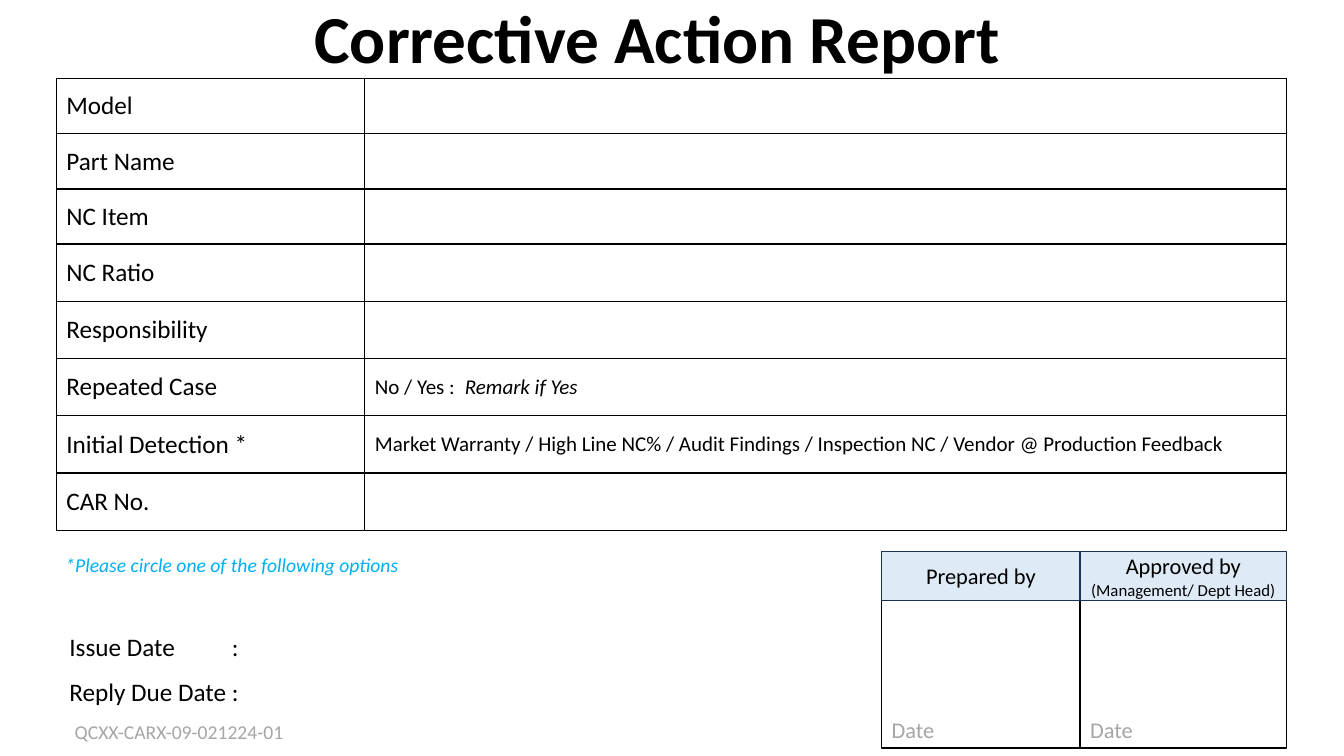
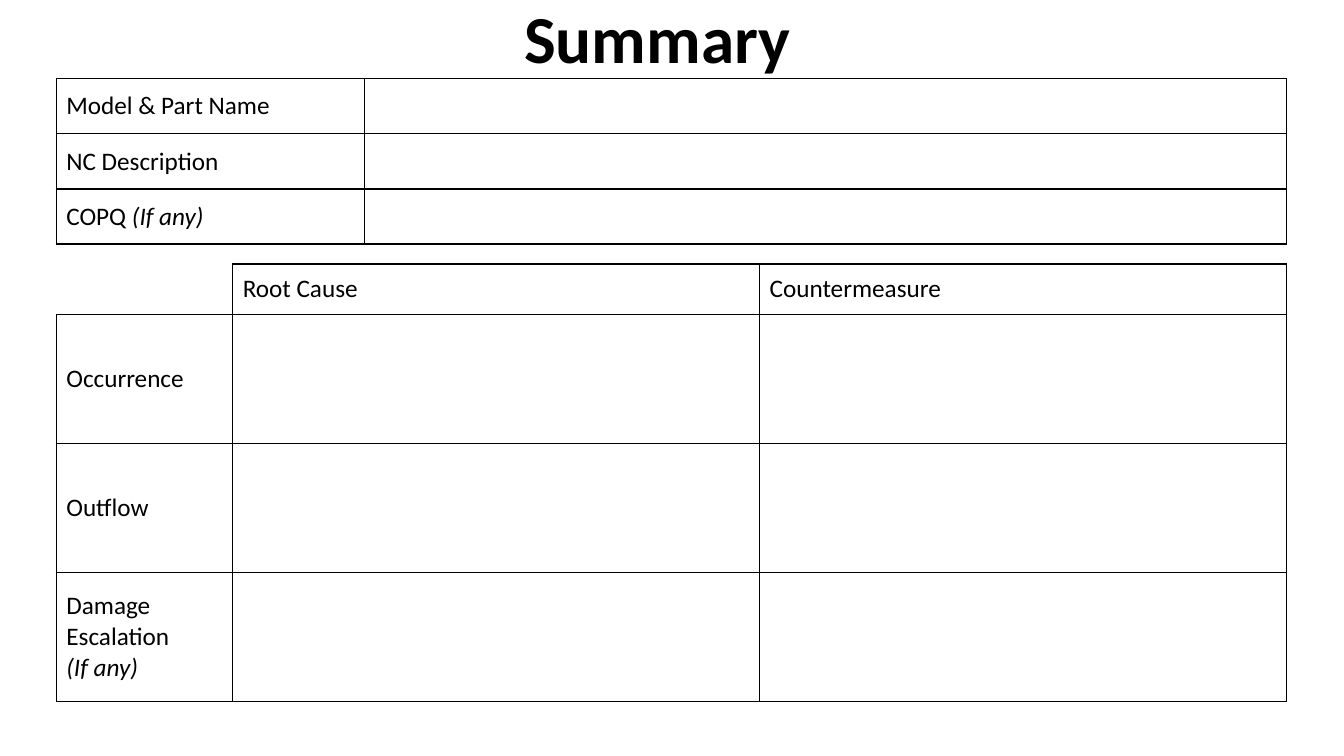
"""Build the corrective action report form and its summary slide."""

from dataclasses import dataclass

from pptx import Presentation
from pptx.dml.color import RGBColor
from pptx.enum.shapes import MSO_SHAPE
from pptx.enum.text import MSO_ANCHOR, MSO_AUTO_SIZE, PP_ALIGN
from pptx.oxml.ns import qn
from pptx.slide import Slide
from pptx.table import _Cell
from pptx.text.text import TextFrame
from pptx.util import Pt
from lxml.etree import SubElement

BLACK = RGBColor(0x00, 0x00, 0x00)
WHITE = RGBColor(0xFF, 0xFF, 0xFF)
GREY = RGBColor(0xA6, 0xA6, 0xA6)
CYAN = RGBColor(0x00, 0xB0, 0xF0)
PALE = RGBColor(0xDE, 0xEB, 0xF7)
NAVY = RGBColor(0x1E, 0x32, 0x56)
FONT = "Calibri"

LEFT = 40.2
TOP = 56.2
FORM = (220.4, 658.4)
SHORT = 39.4
TALL = 40.9
SIDES = ("L", "R", "T", "B")


@dataclass(frozen=True)
class Text:
    """Lines of text with their size and tab stop; underscores mark italics."""

    lines: tuple[str, ...] = ()
    size: float = 18
    tab: float = 0


@dataclass(frozen=True)
class Grid:
    """A ruled table: position, column widths, row heights and texts."""

    left: float
    top: float
    cols: tuple[float, ...]
    rows: tuple[float, ...]
    cells: tuple[tuple[Text, ...], ...]


@dataclass(frozen=True)
class Sign:
    """One column of the signature block."""

    left: float
    width: float
    head: str
    note: str = ""


NONE = Text()
REPORT = Grid(LEFT, TOP, FORM, (SHORT,) * 3 + (TALL,) * 5, (
    (Text(("Model",)), NONE),
    (Text(("Part Name",)), NONE),
    (Text(("NC Item",)), NONE),
    (Text(("NC Ratio",)), NONE),
    (Text(("Responsibility",)), NONE),
    (Text(("Repeated Case",)),
     Text(("No / Yes :\t_Remark if Yes_",), 15, 64.3)),
    (Text(("Initial Detection *",)),
     Text(("Market Warranty / High Line NC% / Audit Findings / "
           "Inspection NC / Vendor @ Production Feedback",), 15)),
    (Text(("CAR No.",)), NONE),
))
BRIEF = Grid(LEFT, TOP, FORM, (SHORT,) * 3, (
    (Text(("Model & Part Name",)), NONE),
    (Text(("NC Description",)), NONE),
    (Text(("COPQ _(If any)_",)), NONE),
))
CAUSES = Grid(LEFT, 188.6, (126, 376.4, 376.4), (36.1,) + (92.1,) * 3, (
    (NONE, Text(("Root Cause",)), Text(("Countermeasure",))),
    (Text(("Occurrence",)), NONE, NONE),
    (Text(("Outflow",)), NONE, NONE),
    (Text(("Damage Escalation", "_(If any)_")), NONE, NONE),
))
SIGNS = (
    Sign(629.8, 141.8, "Prepared by"),
    Sign(771.6, 147.4, "Approved by", "(Management/ Dept Head)"),
)


def write(frame: TextFrame, *lines: str, size: float = 18,
          color: RGBColor = BLACK, bold: bool = False, italic: bool = False,
          align: PP_ALIGN = PP_ALIGN.LEFT, space: float = 1,
          tab: float = 0, more: bool = False) -> None:
    """Write lines as paragraphs; more adds them after the present text."""
    for index, line in enumerate(lines):
        fresh = more or index > 0
        para = frame.add_paragraph() if fresh else frame.paragraphs[0]
        para.alignment = align
        para.line_spacing = space
        if tab:
            stops = SubElement(para._p.get_or_add_pPr(), qn("a:tabLst"))
            SubElement(stops, qn("a:tab"), pos=str(Pt(tab)), algn="l")
        for part, piece in enumerate(line.split("_")):
            if not piece:
                continue
            run = para.add_run()
            run.text = piece
            font = run.font
            font.name = FONT
            font.size = Pt(size)
            font.bold = bold
            font.italic = italic or part % 2 == 1
            font.color.rgb = color


def rule(cell: _Cell, sides: str) -> None:
    """Draw black borders on the named sides and none on the others."""
    props = cell._tc.get_or_add_tcPr()
    for index, side in enumerate(SIDES):
        line = props.makeelement(qn(f"a:ln{side}"), {"w": str(Pt(1))})
        props.insert(index, line)
        if side in sides:
            fill = SubElement(line, qn("a:solidFill"))
            SubElement(fill, qn("a:srgbClr"), val=str(BLACK))
        else:
            SubElement(line, qn("a:noFill"))


def draw(slide: Slide, grid: Grid, color: RGBColor = BLACK,
         lined: bool = True, anchor: MSO_ANCHOR = MSO_ANCHOR.MIDDLE) -> None:
    """Draw a table, leaving the outer sides of an empty corner open."""
    table = slide.shapes.add_table(
        len(grid.rows), len(grid.cols), Pt(grid.left), Pt(grid.top),
        Pt(sum(grid.cols)), Pt(sum(grid.rows))).table
    table.first_row = table.horz_banding = False
    for col, width in zip(table.columns, grid.cols):
        col.width = Pt(width)
    for row, height, texts in zip(table.rows, grid.rows, grid.cells):
        row.height = Pt(height)
        for cell, text in zip(row.cells, texts):
            cell.fill.background()
            cell.vertical_anchor = anchor
            write(cell.text_frame, *text.lines, size=text.size,
                  color=color, tab=text.tab)
            corner = texts is grid.cells[0] and cell is not None
            first = corner and cell._tc is table.cell(0, 0)._tc
            blank = first and not text.lines
            rule(cell, "" if not lined else "RB" if blank else "LRTB")


def label(slide: Slide, left: float, top: float, width: float,
          height: float) -> TextFrame:
    """Add a wrapping text box and return its frame."""
    frame = slide.shapes.add_textbox(
        Pt(left), Pt(top), Pt(width), Pt(height)).text_frame
    frame.word_wrap = True
    return frame


def stamp(slide: Slide, signs: tuple[Sign, ...]) -> None:
    """Draw the grouped signature block."""
    group = slide.shapes.add_group_shape()

    def box(sign: Sign, top: float, height: float, fill: RGBColor,
            edge: RGBColor, anchor: MSO_ANCHOR) -> TextFrame:
        """Add one bordered box and return its frame."""
        shape = group.shapes.add_shape(
            MSO_SHAPE.RECTANGLE, Pt(sign.left), Pt(top),
            Pt(sign.width), Pt(height))
        shape.shadow.inherit = False
        shape.fill.solid()
        shape.fill.fore_color.rgb = fill
        shape.line.color.rgb = edge
        shape.line.width = Pt(1)
        frame = shape.text_frame
        frame.word_wrap = True
        frame.vertical_anchor = anchor
        return frame

    for sign in signs:
        frame = box(sign, 429.1, 105.1, WHITE, BLACK, MSO_ANCHOR.BOTTOM)
        write(frame, "Date", size=16, color=GREY)
    for sign in signs:
        frame = box(sign, 393.8, 35.3, PALE, NAVY, MSO_ANCHOR.MIDDLE)
        write(frame, sign.head, size=16, align=PP_ALIGN.CENTER)
        if sign.note:
            write(frame, sign.note, size=12, align=PP_ALIGN.CENTER, more=True)


def start(deck: Presentation, name: str) -> Slide:
    """Add a slide with its title."""
    slide = deck.slides.add_slide(deck.slide_layouts.get_by_name("Title Only"))
    title = slide.shapes.title
    title.left, title.top = Pt(0), Pt(-6.5)
    title.width, title.height = Pt(939), Pt(65.5)
    frame = title.text_frame
    frame.auto_size = MSO_AUTO_SIZE.NONE
    frame.vertical_anchor = MSO_ANCHOR.MIDDLE
    write(frame, name, size=48, bold=True, align=PP_ALIGN.CENTER)
    return slide


def report(deck: Presentation) -> None:
    """Build the report form."""
    slide = start(deck, "Corrective Action Report")
    code = Text(("QCXX-CARX-09-021224-01",), 14)
    draw(slide, Grid(46.1, 511.2, (249.1,), (23.8,), ((code,),)),
         color=GREY, lined=False, anchor=MSO_ANCHOR.TOP)
    draw(slide, REPORT)
    write(label(slide, 42.5, 436.3, 287.3, 69.1),
          "Issue Date\t:", "Reply Due Date\t:", space=1.5, tab=116)
    stamp(slide, SIGNS)
    write(label(slide, 39.6, 391.7, 257.8, 24.5),
          "*Please circle one of the following options",
          size=14, color=CYAN, italic=True)


def summary(deck: Presentation) -> None:
    """Build the summary."""
    slide = start(deck, "Summary")
    draw(slide, BRIEF)
    draw(slide, CAUSES)


def main() -> None:
    """Build and save the deck."""
    deck = Presentation()
    deck.slide_width, deck.slide_height = Pt(960), Pt(540)
    report(deck)
    summary(deck)
    deck.save("out.pptx")


if __name__ == "__main__":
    main()
